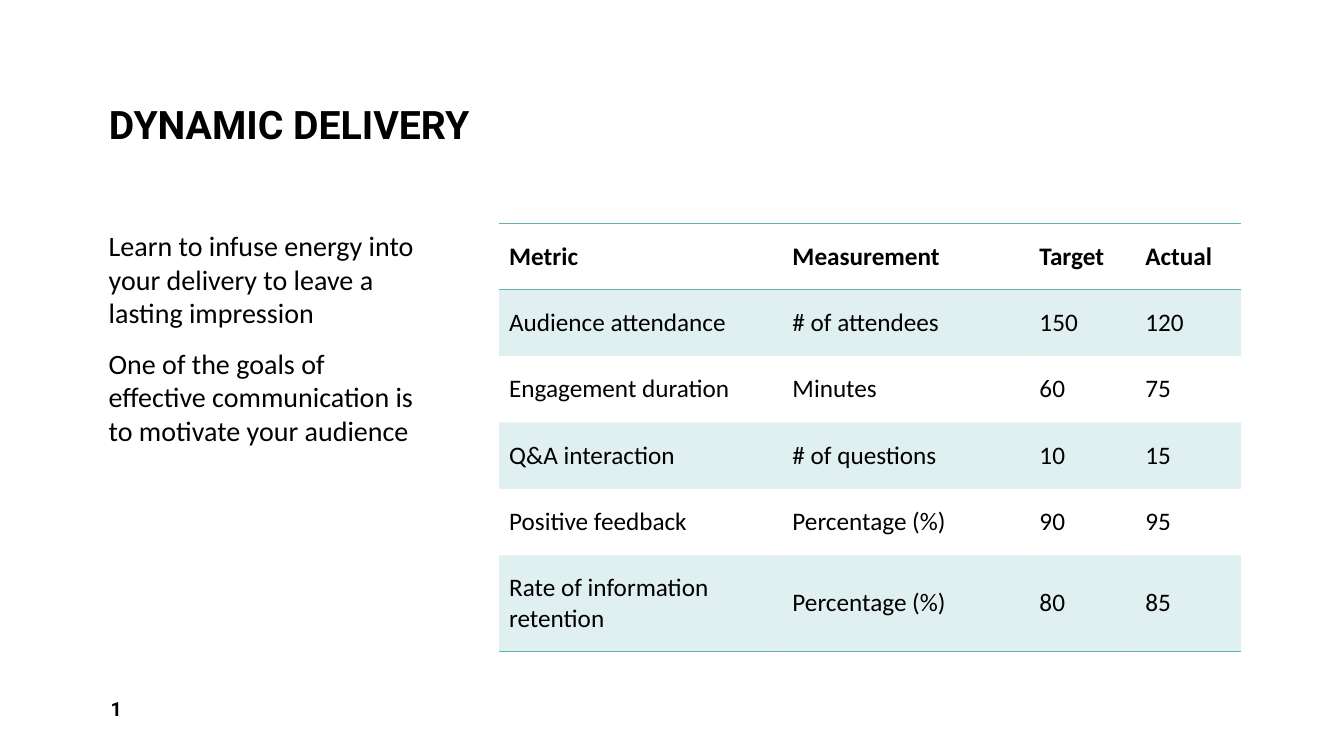
from dataclasses import dataclass

from lxml import etree
from pptx import Presentation
from pptx.dml.color import RGBColor
from pptx.enum import text
from pptx.oxml import ns
from pptx.util import Inches, Pt


@dataclass(frozen=True)
class Theme:
    ink: RGBColor = RGBColor(0x00, 0x00, 0x00)
    teal: RGBColor = RGBColor(0x66, 0xB2, 0xB0)
    band_alpha: int = 20000
    heading_font: str = "Roboto"
    body_font: str = "Calibri"
    title_size: int = 28
    body_size: int = 20
    table_size: int = 18
    number_size: int = 14


theme = Theme()


def add_run(paragraph, words, size, font_name, bold=False):
    paragraph.alignment = text.PP_ALIGN.LEFT
    run = paragraph.add_run()
    run.text = words
    run.font.size = Pt(size)
    run.font.name = font_name
    run.font.bold = bold
    run.font.color.rgb = theme.ink


def add_border(cell, tag):
    """Draw a one-point teal line on the cell side named by tag; call before filling."""
    line = etree.SubElement(cell._tc.get_or_add_tcPr(), ns.qn(tag), w=str(Pt(1)))
    fill = etree.SubElement(line, ns.qn("a:solidFill"))
    etree.SubElement(fill, ns.qn("a:srgbClr"), val=str(theme.teal))


presentation = Presentation()
presentation.slide_width = Inches(13.33)
presentation.slide_height = Inches(7.5)
slide = presentation.slides.add_slide(presentation.slide_layouts[5])

# Title
title = slide.shapes.title
title.left, title.top = Inches(0.98), Inches(0.15)
title.width, title.height = Inches(6.75), Inches(1.37)
title.text_frame.auto_size = text.MSO_AUTO_SIZE.NONE
title.text_frame.vertical_anchor = text.MSO_ANCHOR.BOTTOM
paragraph = title.text_frame.paragraphs[0]
paragraph.line_spacing = 0.9
add_run(paragraph, "DYNAMIC DELIVERY", theme.title_size, theme.heading_font, True)

# Introduction
introduction = slide.shapes.add_textbox(Inches(0.98), Inches(2.22), Inches(3.3), Inches(4.27))
frame = introduction.text_frame
frame.word_wrap = True
messages = [
    "Learn to infuse energy into your delivery to leave a lasting impression",
    "One of the goals of effective communication is to motivate your audience",
]
for index, message in enumerate(messages):
    paragraph = frame.add_paragraph() if index else frame.paragraphs[0]
    paragraph.space_after = Pt(12)
    add_run(paragraph, message, theme.body_size, theme.body_font)

# Metrics table
metrics = [
    ("Metric", "Measurement", "Target", "Actual"),
    ("Audience attendance", "# of attendees", "150", "120"),
    ("Engagement duration", "Minutes", "60", "75"),
    ("Q&A interaction", "# of questions", "10", "15"),
    ("Positive feedback", "Percentage (%)", "90", "95"),
    ("Rate of information retention", "Percentage (%)", "80", "85"),
]
column_widths = [2.81, 2.45, 1.05, 1.05]
row_heights = [0.65, 0.66, 0.66, 0.66, 0.66, 0.95]
table = slide.shapes.add_table(
    len(metrics), len(column_widths), Inches(4.95), Inches(2.22), Inches(7.35), Inches(4.25)
).table
table.horz_banding = False
no_grid_style = "{2D5ABB26-0587-4C30-8999-92F81FD0307C}"
table._tbl.tblPr.find(ns.qn("a:tableStyleId")).text = no_grid_style
for column, width in zip(table.columns, column_widths):
    column.width = Inches(width)
for row, height in zip(table.rows, row_heights):
    row.height = Inches(height)

for row_index, values in enumerate(metrics):
    is_header = row_index == 0
    for column_index, value in enumerate(values):
        cell = table.cell(row_index, column_index)
        cell.vertical_anchor = text.MSO_ANCHOR.MIDDLE
        paragraph = cell.text_frame.paragraphs[0]
        add_run(paragraph, value, theme.table_size, theme.body_font, is_header)
        if is_header:
            add_border(cell, "a:lnT")
        if is_header or row_index == len(metrics) - 1:
            add_border(cell, "a:lnB")
        if row_index % 2:
            cell.fill.solid()
            cell.fill.fore_color.rgb = theme.teal
            color = cell._tc.tcPr.find(ns.qn("a:solidFill")).find(ns.qn("a:srgbClr"))
            etree.SubElement(color, ns.qn("a:alpha"), val=str(theme.band_alpha))
        else:
            cell.fill.background()

# Page number
page_number = slide.shapes.add_textbox(Inches(1), Inches(6.83), Inches(1.3), Inches(0.4))
page_number.text_frame.word_wrap = True
page_number.text_frame.vertical_anchor = text.MSO_ANCHOR.MIDDLE
paragraph = page_number.text_frame.paragraphs[0]
add_run(paragraph, "1", theme.number_size, theme.heading_font, True)

presentation.save("out.pptx")
